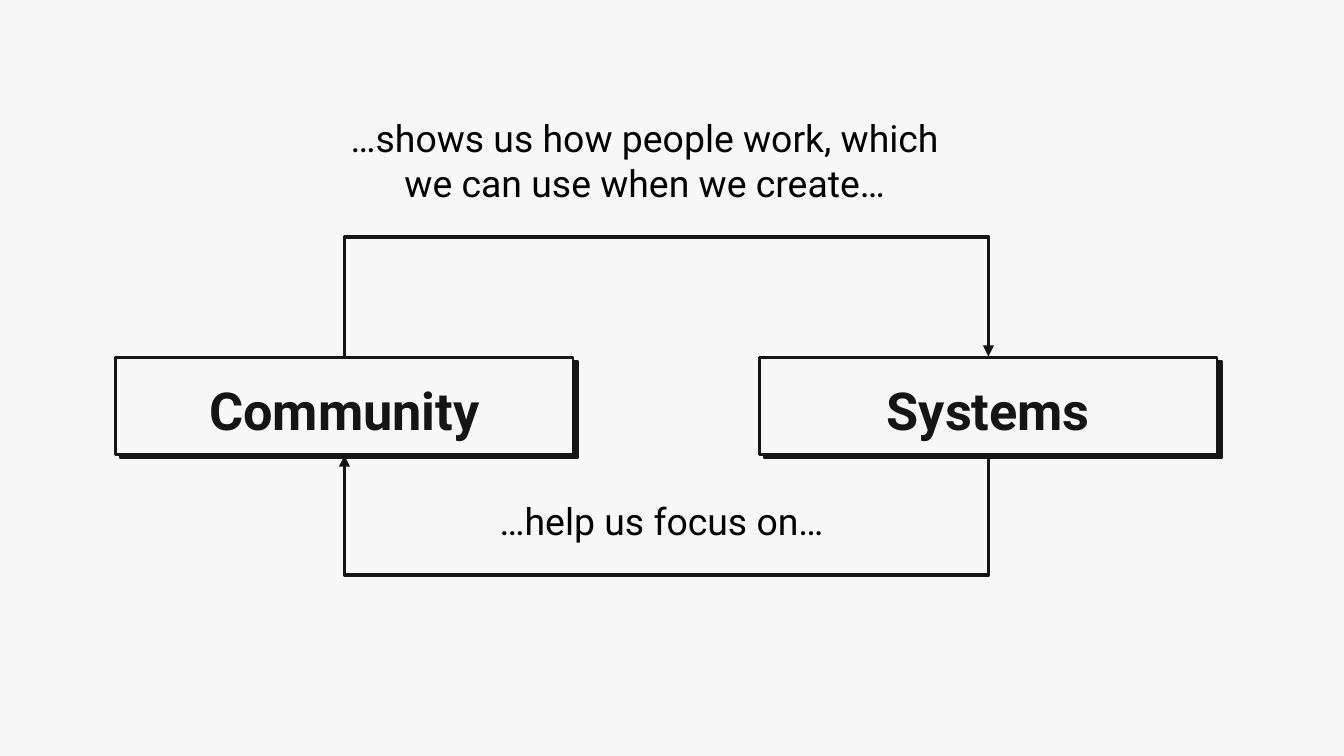
from dataclasses import dataclass

from lxml.etree import SubElement
from pptx import Presentation
from pptx.dml.color import RGBColor
from pptx.enum.shapes import MSO_CONNECTOR as Link
from pptx.enum.text import MSO_ANCHOR as Anchor, MSO_AUTO_SIZE as AutoSize, PP_ALIGN as Align
from pptx.oxml.ns import qn
from pptx.util import Pt

CONCEPTS = ["Community", "Systems"]
LABELS = [
    ("…shows us how people work, which we can use when we create…",
     (173, 58.3, 345, 55.4), Align.CENTER, 84),
    ("…help us focus on…", (260.6, 263.5, 198, 31.7), Align.LEFT, None),
]


@dataclass(frozen=True)
class Theme:
    font: str = "Roboto"
    paper: str = "F7F7F7"
    ink: str = "151515"
    text: str = "000000"
    concept_size: float = 28
    label_size: float = 20
    border: float = 1.5
    arrow: float = 1.75


THEME = Theme()
BOX_LEFT, BOX_TOP, BOX_WIDTH, BOX_HEIGHT = 62, 191.5, 245, 52
BOX_STEP = 345
LOOP_RISE = 65.5


def color(value):
    return RGBColor.from_string(value)


def paint(fill, value, opacity=None):
    fill.solid()
    fill.fore_color.rgb = color(value)
    if opacity is not None:
        rgb = fill._xPr.find(qn("a:solidFill"))[0]
        SubElement(rgb, qn("a:alpha"), val=str(opacity * 1000))


def place(shape, left, top, width, height):
    shape.left, shape.top, shape.width, shape.height = map(Pt, (left, top, width, height))


def write(shape, text, *, size, ink, bold=False, align=Align.LEFT, spacing=1.0,
          anchor=Anchor.TOP, inset=3.6, fit=AutoSize.NONE):
    frame = shape.text_frame
    frame.word_wrap = True
    frame.auto_size = fit
    frame.vertical_anchor = anchor
    frame.margin_left = frame.margin_right = Pt(7.2)
    frame.margin_top = frame.margin_bottom = Pt(inset)
    para = frame.paragraphs[0]
    properties = para._p.get_or_add_pPr()
    properties.set("marL", "0")
    properties.set("indent", "0")
    SubElement(properties, qn("a:buNone"))
    para.alignment = align
    para.line_spacing = spacing
    para.space_before = Pt(0)
    span = para.add_run()
    span.text = text
    span.font.name = THEME.font
    span.font.size = Pt(size)
    span.font.bold = bold
    span.font.color.rgb = color(ink)


def add_hard_shadow(shape):
    shape.shadow.inherit = False
    effects = shape._element.spPr.find(qn("a:effectLst"))
    shadow = SubElement(effects, qn("a:outerShdw"), blurRad="0", dist=str(Pt(3)),
                        dir=str(40 * 60000), algn="bl", rotWithShape="0")
    SubElement(shadow, qn("a:srgbClr"), val=THEME.ink)


def add_loop_arrow(page, middle_x, middle_y, upward):
    sign = 1 if upward else -1
    half_depth, half_span = 0.5 * sign, BOX_STEP / 2 * sign
    arrow = page.shapes.add_connector(
        Link.ELBOW,
        Pt(middle_x + half_depth), Pt(middle_y + half_span),
        Pt(middle_x - half_depth), Pt(middle_y - half_span))
    arrow.line.color.rgb = color(THEME.ink)
    arrow.line.width = Pt(THEME.arrow)
    properties = arrow._element.spPr
    properties.find(qn("a:xfrm")).set("rot", str(90 * 60000))
    guides = properties.find(qn("a:prstGeom")).find(qn("a:avLst"))
    SubElement(guides, qn("a:gd"), name="adj1", fmla=f"val {round(LOOP_RISE * 100000)}")
    SubElement(properties.find(qn("a:ln")), qn("a:tailEnd"), type="triangle")
    SubElement(properties, qn("a:effectLst"))


def main():
    deck = Presentation()
    deck.slide_width, deck.slide_height = Pt(720), Pt(405)
    page = deck.slides.add_slide(deck.slide_layouts[3])
    paint(page.background.fill, THEME.paper)
    title = page.shapes.title._element
    title.getparent().remove(title)

    for index, concept in enumerate(CONCEPTS):
        box = page.placeholders[index + 1]
        place(box, BOX_LEFT + index * BOX_STEP, BOX_TOP, BOX_WIDTH, BOX_HEIGHT)
        paint(box.fill, THEME.paper)
        box.line.color.rgb = color(THEME.ink)
        box.line.width = Pt(THEME.border)
        add_hard_shadow(box)
        write(box, concept, size=THEME.concept_size, ink=THEME.ink, bold=True,
              align=Align.CENTER, spacing=1.15, anchor=Anchor.BOTTOM, inset=7.2)

    for text, area, align, opacity in LABELS:
        label = page.shapes.add_textbox(*map(Pt, area))
        if opacity is not None:
            paint(label.fill, THEME.paper, opacity)
        write(label, text, size=THEME.label_size, ink=THEME.text, align=align,
              fit=AutoSize.SHAPE_TO_FIT_TEXT)

    middle_x = BOX_LEFT + (BOX_WIDTH + BOX_STEP) / 2
    add_loop_arrow(page, middle_x, BOX_TOP, upward=True)
    add_loop_arrow(page, middle_x, BOX_TOP + BOX_HEIGHT, upward=False)
    deck.save("out.pptx")


if __name__ == "__main__":
    main()
